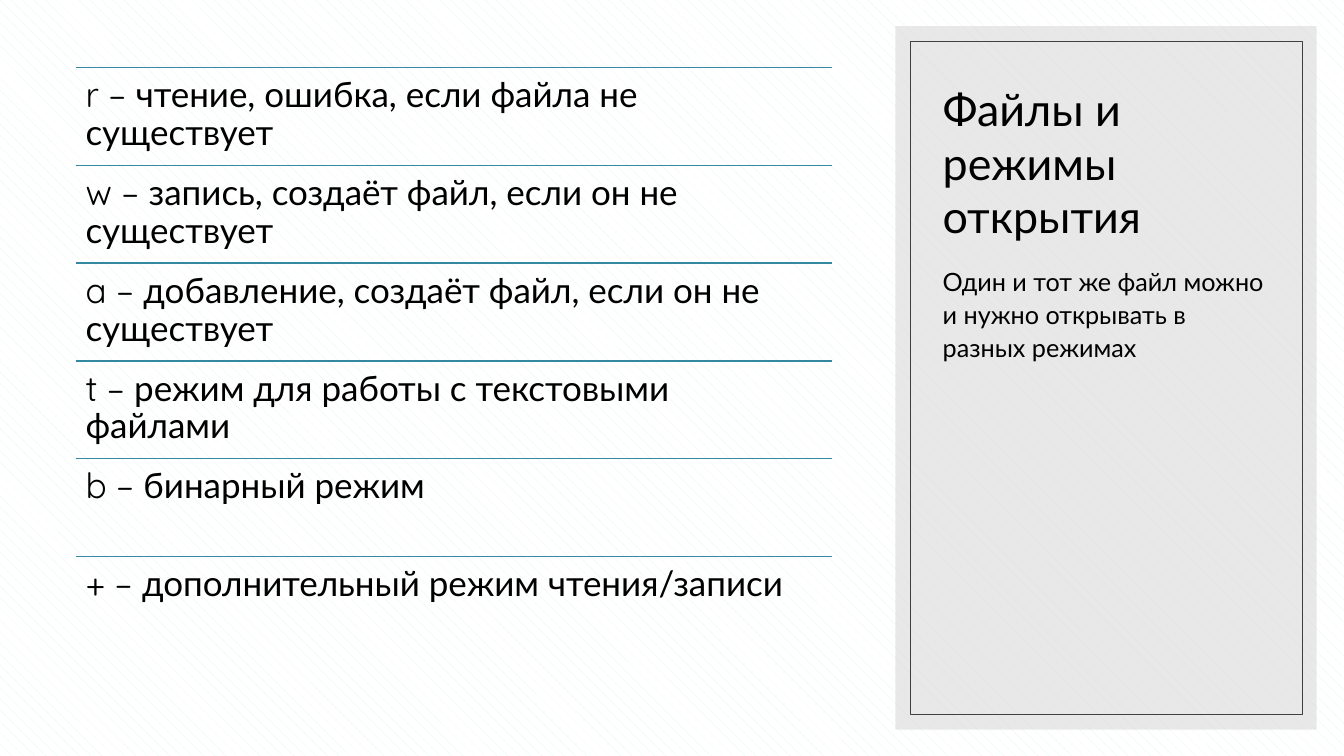
from pptx import Presentation
from pptx.dml.color import RGBColor
from pptx.enum.dml import MSO_PATTERN
from pptx.enum.shapes import MSO_CONNECTOR, MSO_SHAPE
from pptx.enum.text import MSO_ANCHOR, MSO_AUTO_SIZE, PP_ALIGN
from pptx.oxml.ns import qn
from pptx.util import Inches, Pt
from lxml import etree

SHINGLE = MSO_PATTERN.SHINGLE
STRAIGHT = MSO_CONNECTOR.STRAIGHT
RECTANGLE = MSO_SHAPE.RECTANGLE
TOP, BOTTOM = MSO_ANCHOR.TOP, MSO_ANCHOR.BOTTOM
NO_AUTOFIT = MSO_AUTO_SIZE.NONE
LEFT = PP_ALIGN.LEFT

COLORS = {
    "text": "000000",
    "rule": "3488A0",
    "panel": "D9D9D9",
    "frame": "404040",
    "pattern": "DEF4F7",
    "paper": "FFFFFF",
}
TEXT_FONT, MODE_FONT = "Lato", "Quicksand"
MODES = [
    ("r", "чтение, ошибка, если файла не существует"),
    ("w", "запись, создаёт файл, если он не существует"),
    ("a", "добавление, создаёт файл, если он не существует"),
    ("t", "режим для работы с текстовыми файлами"),
    ("b", "бинарный режим"),
    ("+", "дополнительный режим чтения/записи"),
]
LIST_LEFT, LIST_TOP, LIST_WIDTH = 0.75, 0.67, 7.5
ROW_HEIGHT = 0.97


def color(name):
    """Return the named colour as an RGBColor."""
    return RGBColor.from_string(COLORS[name])


def place(shape, left, top, width, height):
    """Move and size a shape, in inches."""
    shape.left, shape.top = Inches(left), Inches(top)
    shape.width, shape.height = Inches(width), Inches(height)


prs = Presentation()
prs.slide_width, prs.slide_height = Inches(13.33), Inches(7.5)
slide = prs.slides.add_slide(prs.slide_layouts.get_by_name("Content with Caption"))

background = slide.background.fill
background.patterned()
background.pattern = SHINGLE
background.fore_color.rgb = color("pattern")
background.back_color.rgb = color("paper")

# Title and summary in the side panel
title, unused, summary = slide.placeholders
unused.element.getparent().remove(unused.element)

captions = [
    (title, "Файлы и режимы открытия", 0.66, 1.8, BOTTOM, 32, 1.0, 0),
    (summary, "Один и тот же файл можно и нужно открывать в разных режимах",
     2.56, 3.94, TOP, 18, 1.1, 8),
]
for caption, text, top, height, anchor, size, spacing, before in captions:
    place(caption, 9.25, top, 3.46, height)
    frame = caption.text_frame
    frame.text = text
    frame.auto_size = NO_AUTOFIT
    frame.vertical_anchor = anchor
    paragraph = frame.paragraphs[0]
    paragraph.alignment = LEFT
    paragraph.line_spacing = spacing
    paragraph.space_before = Pt(before)
    paragraph.font.name = TEXT_FONT
    paragraph.font.size = Pt(size)
    paragraph.font.bold = False
    paragraph.font.color.rgb = color("text")

# Side panel and its inner frame, behind the captions
panel = slide.shapes.add_shape(RECTANGLE, 0, 0, 0, 0)
place(panel, 8.88, 0.26, 4.18, 6.98)
panel.fill.solid()
panel.fill.fore_color.rgb = color("panel")
panel.line.fill.background()
panel_color = panel.element.spPr.find(qn("a:solidFill")).find(qn("a:srgbClr"))
etree.SubElement(panel_color, qn("a:alpha"), val="60000")

inner_frame = slide.shapes.add_shape(RECTANGLE, 0, 0, 0, 0)
place(inner_frame, 9.03, 0.41, 3.89, 6.68)
inner_frame.fill.background()
inner_frame.line.color.rgb = color("frame")
inner_frame.line.width = Pt(0.5)

for backdrop in (panel, inner_frame):
    backdrop.shadow.inherit = False
    title.element.addprevious(backdrop.element)

# File modes, each under its own rule
mode_list = slide.shapes.add_group_shape().shapes
for row, (mode, meaning) in enumerate(MODES):
    left, width = Inches(LIST_LEFT), Inches(LIST_WIDTH)
    top = Inches(LIST_TOP + row * ROW_HEIGHT)

    rule = mode_list.add_connector(STRAIGHT, left, top, left + width, top)
    rule.line.color.rgb = color("rule")
    rule.line.width = Pt(1)
    etree.SubElement(rule.element.spPr, qn("a:effectLst"))

    entry = mode_list.add_textbox(left, top, width, Inches(ROW_HEIGHT)).text_frame
    entry.word_wrap = True
    entry.margin_left = entry.margin_right = Inches(0.1)
    entry.margin_top = entry.margin_bottom = Inches(0.1)
    paragraph = entry.paragraphs[0]
    paragraph.line_spacing = 0.9
    paragraph.font.size = Pt(25)
    paragraph.font.color.rgb = color("text")
    for text, font in ((f"{mode} – ", MODE_FONT), (meaning, TEXT_FONT)):
        run = paragraph.add_run()
        run.text = text
        run.font.name = font

prs.save("out.pptx")
